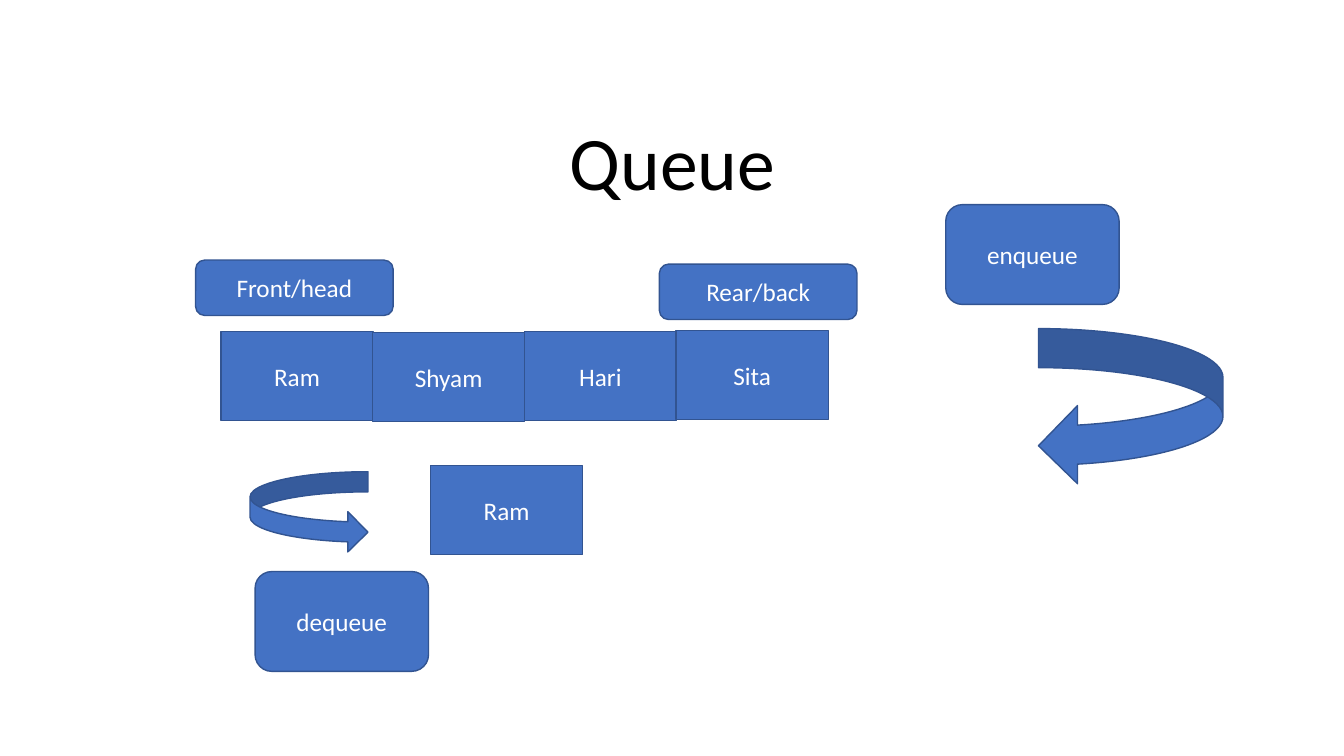
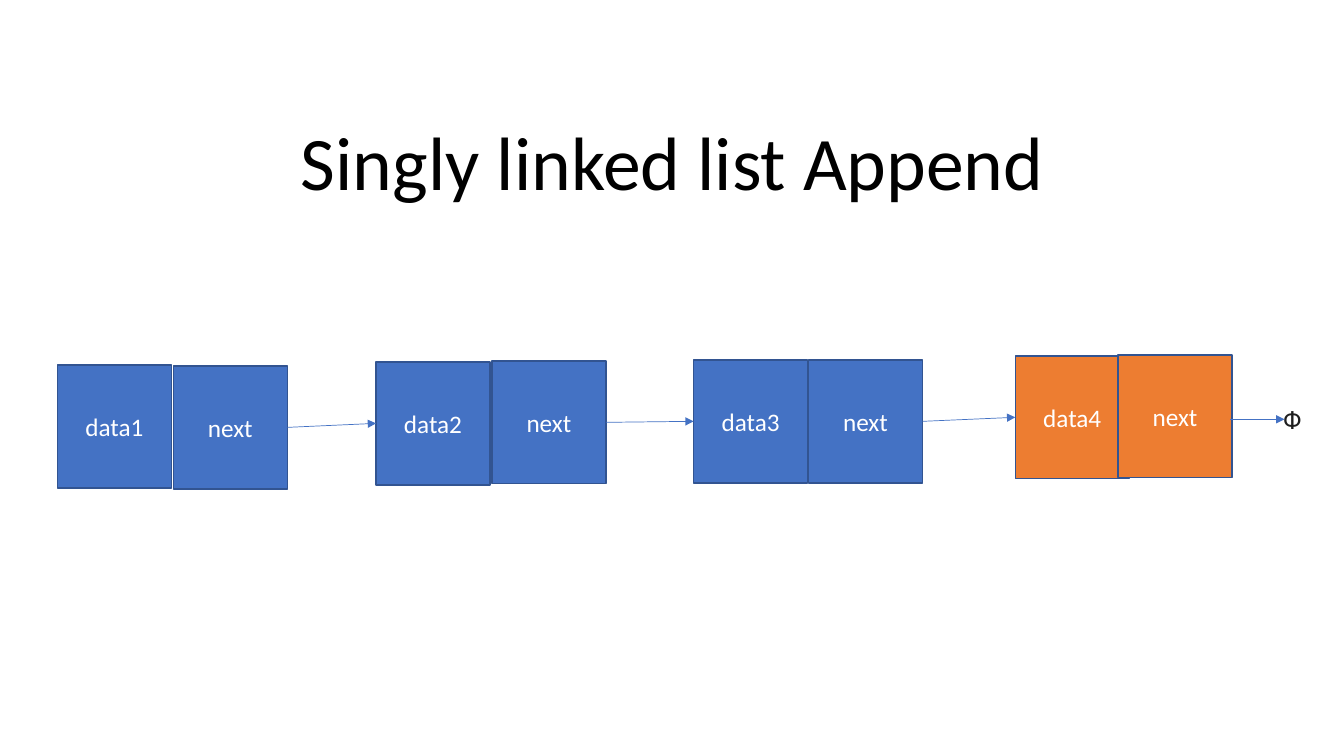
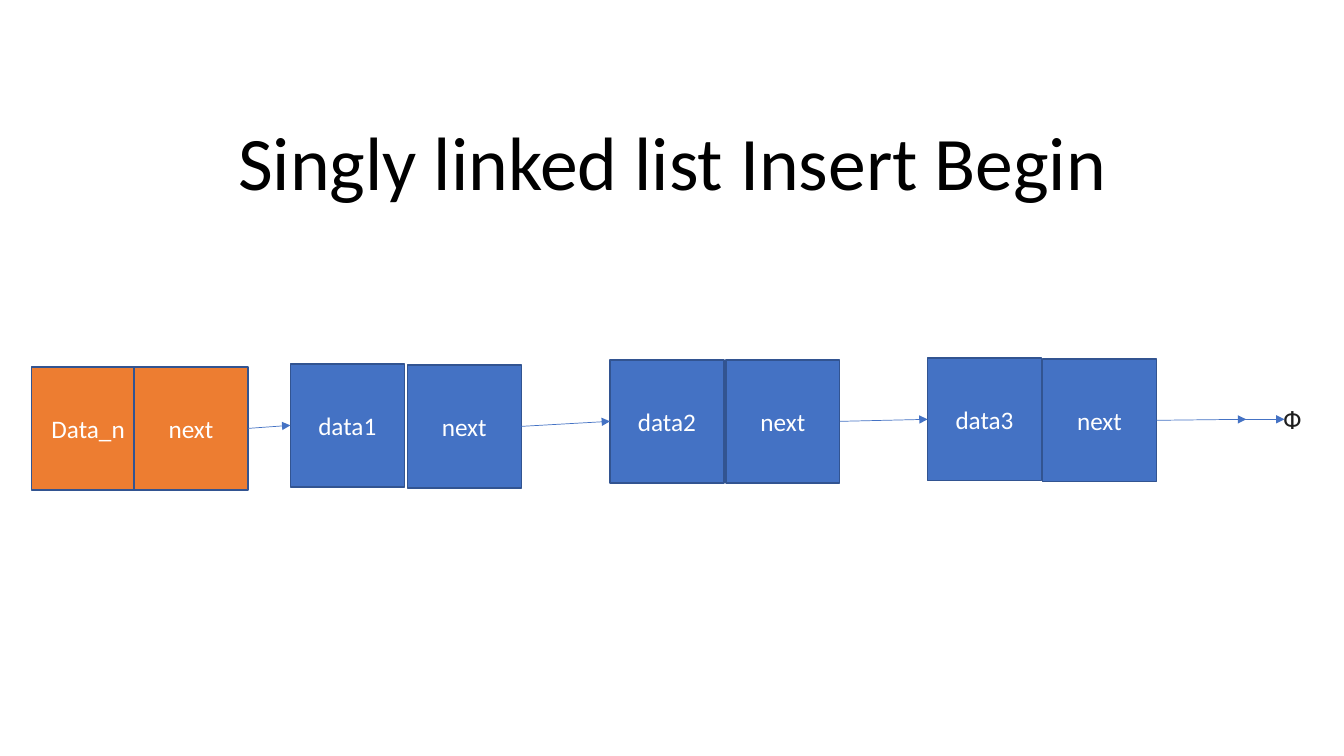
import pptx
import pptx.util
import pptx.dml.color
import pptx.enum.shapes
import pptx.enum.text
import pptx.oxml
import pptx.oxml.ns

Inches = pptx.util.Inches
Pt = pptx.util.Pt
RGBColor = pptx.dml.color.RGBColor
MSO_SHAPE = pptx.enum.shapes.MSO_SHAPE
MSO_CONNECTOR = pptx.enum.shapes.MSO_CONNECTOR
MSO_ANCHOR = pptx.enum.text.MSO_ANCHOR
MSO_AUTO_SIZE = pptx.enum.text.MSO_AUTO_SIZE
PP_ALIGN = pptx.enum.text.PP_ALIGN

BLUE = RGBColor(0x44, 0x72, 0xC4)
DARK_BLUE = RGBColor(0x32, 0x54, 0x91)
ORANGE = RGBColor(0xED, 0x7D, 0x31)
BLACK = RGBColor(0, 0, 0)
INK = RGBColor(0x1F, 0x1F, 0x1F)
WHITE = RGBColor(255, 255, 255)

CELL_W, CELL_H = 1.13, 1.22
ITEM_W, ITEM_H = 1.51, 0.88
RIGHT, LEFT = 3, 1
NULL_ARROW = ((12.2, 4.16), (12.74, 4.16))


class Deck:
    font = "Calibri"
    text_size = 18
    title_size = 54

    def __init__(self):
        self.prs = pptx.Presentation()
        self.prs.slide_width = Inches(13.33)
        self.prs.slide_height = Inches(7.5)
        self.s = None

    def format_text(self, p, size, color, font=None):
        for r in p.runs:
            r.font.name = font or self.font
            r.font.size = Pt(size)
            r.font.color.rgb = color

    def slide(self, title):
        self.s = self.prs.slides.add_slide(self.prs.slide_layouts[5])
        sp = self.s.shapes.title
        sp.left, sp.top = Inches(1.67), Inches(1.23)
        sp.width, sp.height = Inches(10), Inches(0.87)
        tf = sp.text_frame
        tf.text = title
        tf.auto_size = MSO_AUTO_SIZE.NONE
        tf.vertical_anchor = MSO_ANCHOR.BOTTOM
        p = tf.paragraphs[0]
        p.alignment = PP_ALIGN.CENTER
        p.line_spacing = 0.9
        self.format_text(p, self.title_size, BLACK)

    def shape(self, x, y, w, h, text="", kind=MSO_SHAPE.RECTANGLE, fill=BLUE):
        sp = self.s.shapes.add_shape(kind, Inches(x), Inches(y), Inches(w), Inches(h))
        sp.shadow.inherit = False
        sp.fill.solid()
        sp.fill.fore_color.rgb = fill
        sp.line.color.rgb = DARK_BLUE
        sp.line.width = Pt(1)
        if text:
            tf = sp.text_frame
            tf.text = text
            tf.vertical_anchor = MSO_ANCHOR.MIDDLE
            tf.paragraphs[0].alignment = PP_ALIGN.CENTER
            self.format_text(tf.paragraphs[0], self.text_size, WHITE)
        return sp

    def label(self, x, y, w, h, text):
        self.shape(x, y, w, h, text, MSO_SHAPE.ROUNDED_RECTANGLE)

    def arrow(self, start=(0, 0), end=(0, 0), source=None, target=None):
        c = self.s.shapes.add_connector(
            MSO_CONNECTOR.STRAIGHT, *[Inches(v) for v in (*start, *end)])
        if source is not None:
            c.begin_connect(source, RIGHT)
        if target is not None:
            c.end_connect(target, LEFT)
        c.line.color.rgb = BLUE
        c.line.width = Pt(0.5)
        tail = pptx.oxml.parse_xml(
            '<a:tailEnd %s type="triangle"/>' % pptx.oxml.ns.nsdecls("a"))
        c.line._get_or_add_ln().append(tail)
        effects = pptx.oxml.parse_xml("<a:effectLst %s/>" % pptx.oxml.ns.nsdecls("a"))
        c._element.spPr.append(effects)

    def null_mark(self):
        tb = self.s.shapes.add_textbox(Inches(12.63), Inches(3.96), Inches(0.7), Inches(0.4))
        tf = tb.text_frame
        tf.word_wrap = True
        tf.text = "Φ"
        self.format_text(tf.paragraphs[0], self.text_size, INK, "Roboto")

    def linked_list(self, title, nodes):
        self.slide(title)
        previous = None
        for text, fill, data_at, next_at in nodes:
            data = self.shape(*data_at, CELL_W, CELL_H, text, fill=fill)
            if previous is not None:
                self.arrow(source=previous, target=data)
            previous = self.shape(*next_at, CELL_W, CELL_H, "next", fill=fill)
        self.null_mark()
        self.arrow(*NULL_ARROW)
        return previous


def queue(deck):
    deck.slide("Queue")
    items = [("Ram", 3.29), ("Shyam", 3.3), ("Hari", 3.29), ("Sita", 3.28)]
    for i, (name, y) in enumerate(items):
        deck.shape(2.19 + 1.505 * i, y, ITEM_W, ITEM_H, name)
    deck.label(1.94, 2.58, 1.96, 0.55, "Front/head")
    deck.label(6.54, 2.62, 1.96, 0.55, "Rear/back")
    deck.label(9.38, 2.03, 1.72, 0.99, "enqueue")
    deck.label(2.53, 5.67, 1.72, 0.99, "dequeue")
    deck.shape(10.3, 3.26, 1.83, 1.55, kind=MSO_SHAPE.CURVED_LEFT_ARROW)
    deck.shape(2.48, 4.68, 1.17, 0.8, kind=MSO_SHAPE.CURVED_RIGHT_ARROW)
    deck.shape(4.27, 4.62, ITEM_W, ITEM_H, "Ram")


def append(deck):
    deck.linked_list("Singly linked list Append", [
        ("data1", BLUE, (0.57, 3.62), (1.72, 3.63)),
        ("data2", BLUE, (3.73, 3.59), (4.88, 3.58)),
        ("data3", BLUE, (6.88, 3.57), (8.02, 3.57)),
        ("data4", ORANGE, (10.07, 3.53), (11.09, 3.52)),
    ])


def insert_begin(deck):
    last = deck.linked_list("Singly linked list Insert Begin", [
        ("Data_n", ORANGE, (0.31, 3.64), (1.33, 3.64)),
        ("data1", BLUE, (2.88, 3.61), (4.04, 3.62)),
        ("data2", BLUE, (6.05, 3.57), (7.2, 3.57)),
        ("data3", BLUE, (9.2, 3.55), (10.34, 3.56)),
    ])
    deck.arrow(end=(12.36, 4.16), source=last)


def main():
    deck = Deck()
    queue(deck)
    append(deck)
    insert_begin(deck)
    deck.prs.save("out.pptx")


if __name__ == "__main__":
    main()
